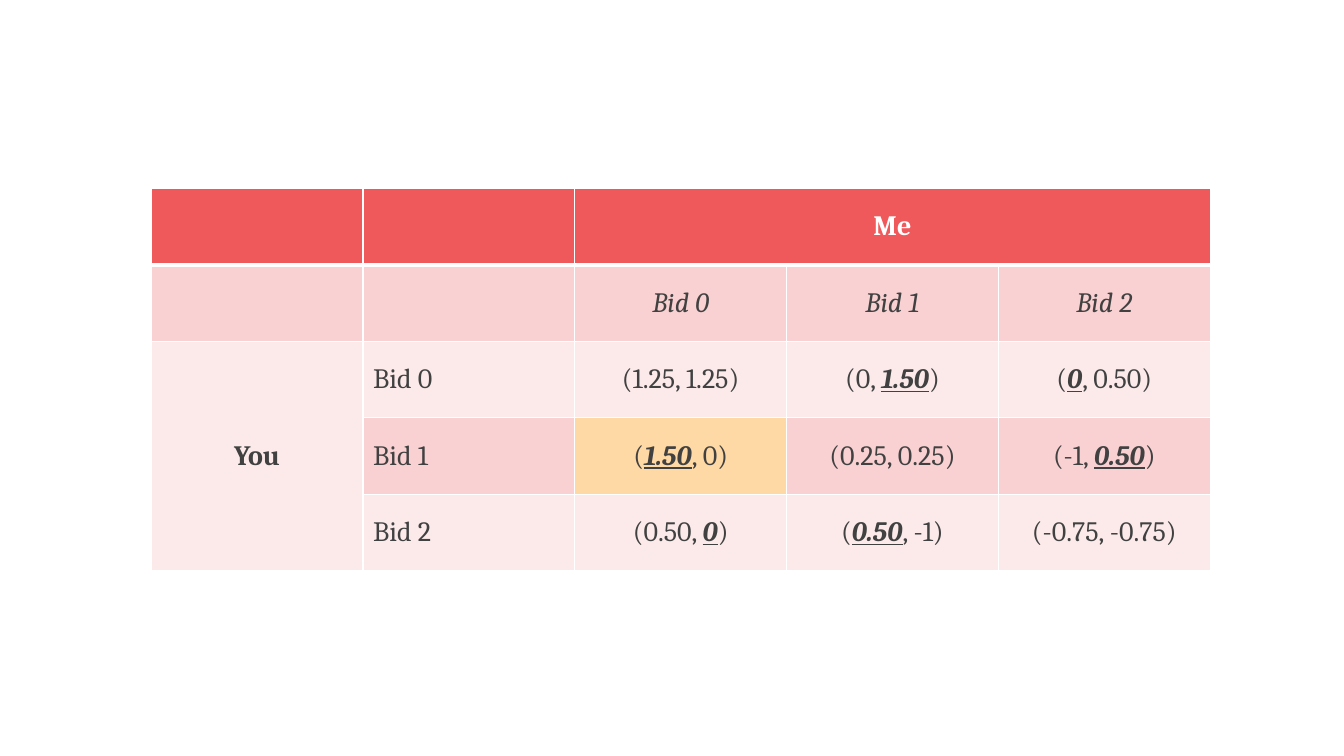
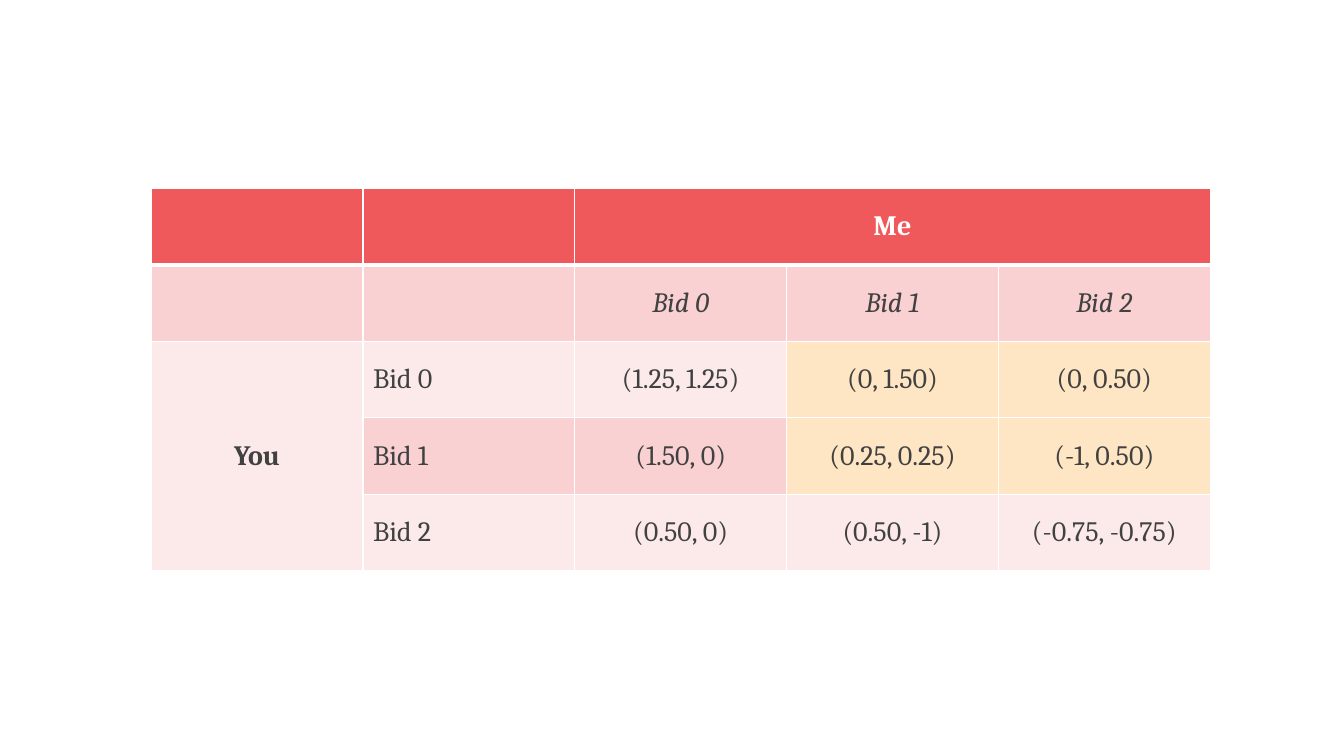
import pptx
import pptx.dml.color
import pptx.enum.text
import pptx.oxml
import pptx.oxml.ns
import pptx.util

Pt = pptx.util.Pt
ALIGN = pptx.enum.text.PP_ALIGN

COLORS = {
    "header": "F0595B",
    "band_dark": "F9D1D2",
    "band_light": "FCEAEA",
    "equilibrium": "FED8A5",
    "undominated": "FEE5C3",
    "white": "FFFFFF",
    "text": "414141",
}
FONT = "Cambria"
TABLE_BOX = (108, 134.8, 756.5, 272.8)
BIDS = ["Bid 0", "Bid 1", "Bid 2"]
PAYOFFS = [
    [("1.25", "1.25"), ("0", "1.50"), ("0", "0.50")],
    [("1.50", "0"), ("0.25", "0.25"), ("-1", "0.50")],
    [("0.50", "0"), ("0.50", "-1"), ("-0.75", "-0.75")],
]
# (your bid, my bid) -> which payoff of the pair is a best response
BEST_RESPONSES = {(0, 1): 1, (0, 2): 0, (1, 0): 0, (1, 2): 1, (2, 0): 1, (2, 1): 0}


def rgb(name):
    return pptx.dml.color.RGBColor.from_string(COLORS[name])


def add_text(p, text, color="text", bold=False, italic=False, underline=False,
             align=ALIGN.CENTER):
    p.alignment = align
    r = p.add_run()
    r.text = text
    font = r.font
    font.name, font.size = FONT, Pt(20)
    font.bold, font.italic, font.underline = bold, italic, underline
    font.color.rgb = rgb(color)


def set_borders(cell, top=1, bottom=1):
    tcPr = cell._tc.get_or_add_tcPr()
    for side, width in (("L", 1), ("R", 1), ("T", top), ("B", bottom)):
        tcPr.append(pptx.oxml.parse_xml(
            f'<a:ln{side} {pptx.oxml.ns.nsdecls("a")} w="{Pt(width)}">'
            f'<a:solidFill><a:srgbClr val="{COLORS["white"]}"/></a:solidFill>'
            f'</a:ln{side}>'))


def style_cell(cell, fill, **borders):
    set_borders(cell, **borders)
    cell.fill.solid()
    cell.fill.fore_color.rgb = rgb(fill)
    cell.vertical_anchor = pptx.enum.text.MSO_ANCHOR.MIDDLE


def add_payoff(p, pair, best=None):
    if best is None:
        add_text(p, f"({pair[0]}, {pair[1]})")
        return
    before, after = ("(", f", {pair[1]})") if best == 0 else (f"({pair[0]}, ", ")")
    add_text(p, before)
    add_text(p, pair[best], bold=True, italic=True, underline=True)
    add_text(p, after)


def add_payoff_table(slide, box, highlight, highlighted, best_responses):
    left, top, width, height = box
    n = len(BIDS) + 2
    table = slide.shapes.add_table(n, n, Pt(left), Pt(top), Pt(width), Pt(height)).table
    for col in table.columns:
        col.width = Pt(width / n)
    for row in table.rows:
        row.height = Pt(height / n)

    # Banded fills, with a thick rule below the header
    for i in range(n):
        for j in range(n):
            fill = "header" if i == 0 else "band_dark" if i % 2 else "band_light"
            if (i - 2, j - 2) in highlighted:
                fill = highlight
            style_cell(table.cell(i, j), fill,
                       top=3 if i == 1 else 1, bottom=3 if i == 0 else 1)

    # Players
    table.cell(0, 2).merge(table.cell(0, n - 1))
    table.cell(2, 0).merge(table.cell(n - 1, 0))
    add_text(table.cell(0, 2).text_frame.paragraphs[0], "Me", color="white", bold=True)
    add_text(table.cell(2, 0).text_frame.paragraphs[0], "You", bold=True)

    # Bids and payoffs
    for i, bid in enumerate(BIDS):
        add_text(table.cell(1, i + 2).text_frame.paragraphs[0], bid, italic=True)
        add_text(table.cell(i + 2, 1).text_frame.paragraphs[0], bid, align=ALIGN.LEFT)
        for j, pair in enumerate(PAYOFFS[i]):
            p = table.cell(i + 2, j + 2).text_frame.paragraphs[0]
            add_payoff(p, pair, best_responses.get((i, j)))


def main():
    prs = pptx.Presentation()
    prs.slide_width, prs.slide_height = Pt(960), Pt(540)
    views = [
        ("equilibrium", {(1, 0)}, BEST_RESPONSES),
        ("undominated", {(0, 1), (0, 2), (1, 1), (1, 2)}, {}),
    ]
    for view in views:
        slide = prs.slides.add_slide(prs.slide_layouts[6])
        add_payoff_table(slide, TABLE_BOX, *view)
    prs.save("out.pptx")


if __name__ == "__main__":
    main()
